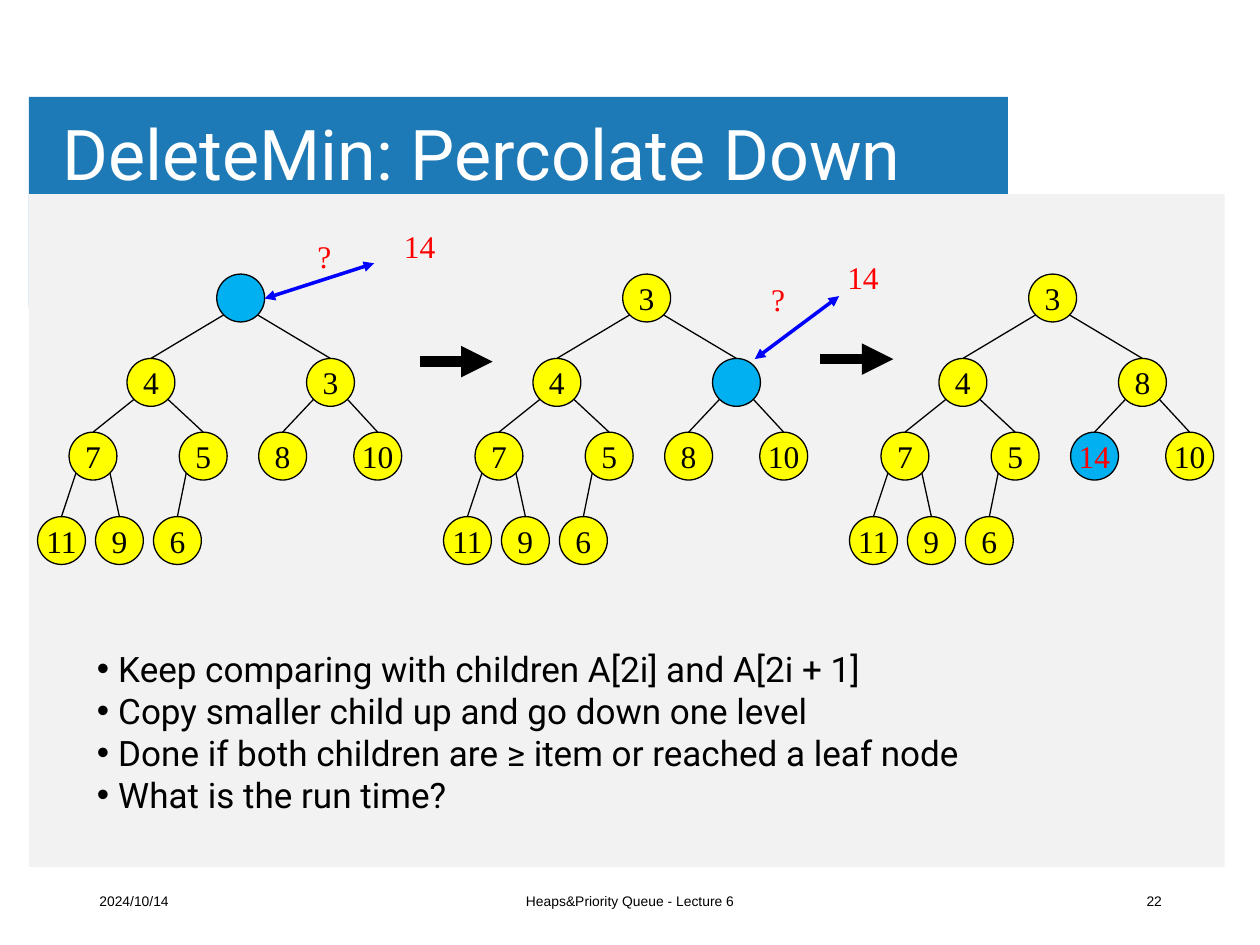
from dataclasses import dataclass

from lxml import etree
from pptx import Presentation
from pptx import util as u
from pptx.dml.color import RGBColor
from pptx.enum import shapes, text
from pptx.oxml import ns

# The slide is a grid of 100 columns by 75 rows; all lengths count its cells.
COLUMNS, ROWS = 100, 75
CELL = u.Inches(0.1)


@dataclass(frozen=True)
class Theme:
    banner: str = "1E7AB6"
    panel: str = "F2F2F2"
    node: str = "FFFF00"
    hole: str = "00B0F0"
    ink: str = "000000"
    title_ink: str = "FFFFFF"
    moving_ink: str = "FF0000"
    compare_line: str = "0000FF"
    body_font: str = "Roboto"
    node_font: str = "Times New Roman"
    footer_font: str = "Arial"
    title_size: float = 40
    body_size: float = 20
    node_size: float = 18
    footer_size: float = 7.9
    thin: float = 0.75
    medium: float = 2
    thick: float = 6


THEME = Theme()
DIAMETER = 3.8
RADIUS = DIAMETER / 2
RIM = RADIUS * 0.71  # offset of the diagonal points on a node's rim
TREE_LEFT, TREE_PITCH = 4.88, 32.22
LEVELS = (23.65, 30.35, 36.2, 42.9)

# Heap order: node centres as columns from the centre of the leftmost leaf.
NODE_COLUMNS = (14.22, 7.1, 21.35, 2.5, 11.25, 17.55, 25.1, 0, 4.6, 9.2)
TREES = (
    ("", "4", "3", "7", "5", "8", "10", "11", "9", "6"),
    ("3", "4", "", "7", "5", "8", "10", "11", "9", "6"),
    ("3", "4", "8", "7", "5", "14", "10", "11", "9", "6"),
)
STEP_ARROWS = ((33.3, 28.7), (65.1, 28.5))
STEP_LENGTH = 5.8
COMPARISONS = (((29.7, 20.9), (21, 23.7)), ((66.6, 23.5), (59.9, 28.5)))
FLOATING_LABELS = (
    ("14", 33.3, 19.5), ("14", 68.5, 22),
    ("?", 25.75, 20.3), ("?", 61.75, 23.7),
)
BULLETS = (
    "Keep comparing with children A[2i] and A[2i + 1]",
    "Copy smaller child up and go down one level",
    "Done if both children are ≥ item or reached a leaf node",
    "What is the run time?",
)
FOOTERS = (
    ("2024/10/14", 6.9, 22.5, text.PP_ALIGN.LEFT),
    ("Heaps&Priority Queue - Lecture 6", 33.1, 33.8, text.PP_ALIGN.CENTER),
    ("22", 70.7, 22.5, text.PP_ALIGN.RIGHT),
)


def cells(*counts):
    return [u.Emu(round(count * CELL)) for count in counts]


def add_run(paragraph, words, font, size, colour):
    run = paragraph.add_run()
    run.text = words
    run.font.name = font
    run.font.size = u.Pt(size)
    run.font.color.rgb = RGBColor.from_string(colour)


def add_block(slide, box, colour):
    shape = slide.shapes.add_shape(shapes.MSO_SHAPE.RECTANGLE, *cells(*box))
    shape.shadow.inherit = False
    shape.fill.solid()
    shape.fill.fore_color.rgb = RGBColor.from_string(colour)
    shape.line.fill.background()


def add_text_box(slide, box, anchor=text.MSO_ANCHOR.MIDDLE):
    frame = slide.shapes.add_textbox(*cells(*box)).text_frame
    frame.word_wrap = True
    frame.vertical_anchor = anchor
    return frame


def add_title(slide, words):
    frame = add_text_box(slide, (4.3, 7.6, 80.3, 9.8))
    frame.margin_left = frame.margin_right = u.Inches(0.07)
    frame.margin_top = frame.margin_bottom = u.Inches(0.04)
    paragraph = frame.paragraphs[0]
    paragraph.line_spacing = 0.9
    add_run(paragraph, words, THEME.body_font, THEME.title_size, THEME.title_ink)


def add_bullets(slide, lines):
    frame = add_text_box(slide, (6.7, 50.9, 87.3, 14.5), text.MSO_ANCHOR.TOP)
    for index, line in enumerate(lines):
        paragraph = frame.add_paragraph() if index else frame.paragraphs[0]
        properties = paragraph._p.get_or_add_pPr()
        hang = u.Inches(0.17)
        properties.set("marL", str(hang))
        properties.set("indent", str(-hang))
        etree.SubElement(properties, ns.qn("a:buFont"), typeface=THEME.footer_font)
        etree.SubElement(properties, ns.qn("a:buChar"), char="•")
        add_run(paragraph, line, THEME.body_font, THEME.body_size, THEME.ink)


def add_footer(slide, words, left, width, alignment):
    paragraph = add_text_box(slide, (left, 69.5, width, 4)).paragraphs[0]
    paragraph.alignment = alignment
    add_run(paragraph, words, THEME.footer_font, THEME.footer_size, THEME.ink)


def add_node(slide, label, x, y, fill=None, ink=THEME.ink):
    """Add a circle centred on (x, y); without a fill only its label shows."""
    box = cells(x - RADIUS, y - RADIUS, DIAMETER, DIAMETER)
    node = slide.shapes.add_shape(shapes.MSO_SHAPE.OVAL, *box)
    node.shadow.inherit = False
    if fill:
        node.fill.solid()
        node.fill.fore_color.rgb = RGBColor.from_string(fill)
        node.line.color.rgb = RGBColor.from_string(THEME.ink)
        node.line.width = u.Pt(THEME.thin)
    else:
        node.fill.background()
        node.line.fill.background()
    if label:
        frame = node.text_frame
        frame.word_wrap = False
        frame.vertical_anchor = text.MSO_ANCHOR.MIDDLE
        paragraph = frame.paragraphs[0]
        paragraph.alignment = text.PP_ALIGN.CENTER
        add_run(paragraph, label, THEME.node_font, THEME.node_size, ink)
    return node


def add_line(slide, start, end, colour, width, arrow_ends=()):
    """Add a straight line; arrow_ends names its ends with heads."""
    line = slide.shapes.add_connector(
        shapes.MSO_CONNECTOR.STRAIGHT, *cells(*start, *end))
    line.line.color.rgb = RGBColor.from_string(colour)
    line.line.width = u.Pt(width)
    for arrow_end in arrow_ends:
        etree.SubElement(line.line._get_or_add_ln(), ns.qn(f"a:{arrow_end}"), type="triangle")
    etree.SubElement(line._element.spPr, ns.qn("a:effectLst"))
    return line


def add_tree(slide, left, labels):
    """Add a heap whose node i hangs below node (i - 1) // 2."""
    centres = [(left + column, LEVELS[(index + 1).bit_length() - 1])
               for index, column in enumerate(NODE_COLUMNS)]
    for index, (label, (x, y)) in enumerate(zip(labels, centres)):
        moving = label in ("", "14")
        fill = THEME.hole if moving else THEME.node
        ink = THEME.moving_ink if moving else THEME.ink
        node = add_node(slide, label, x, y, fill, ink)
        if index:
            parent_x, parent_y = centres[(index - 1) // 2]
            side = -RIM if index % 2 else RIM
            edge = add_line(slide, (parent_x + side, parent_y + RIM),
                            (x, y - RADIUS), THEME.ink, THEME.thin)
            edge.end_connect(node, 0)


def main():
    presentation = Presentation()
    presentation.slide_width, presentation.slide_height = cells(COLUMNS, ROWS)
    slide = presentation.slides.add_slide(presentation.slide_layouts[6])
    add_block(slide, (2.3, 7.7, 77.7, 16.7), THEME.banner)
    add_block(slide, (2.3, 15.4, 94.9, 53.4), THEME.panel)
    add_title(slide, "DeleteMin: Percolate Down")
    for footer in FOOTERS:
        add_footer(slide, *footer)
    add_bullets(slide, BULLETS)
    for x, y in STEP_ARROWS:
        add_line(slide, (x, y), (x + STEP_LENGTH, y), THEME.ink, THEME.thick, ["tailEnd"])
    for index, labels in enumerate(TREES):
        add_tree(slide, TREE_LEFT + index * TREE_PITCH, labels)
    for start, end in COMPARISONS:
        add_line(slide, start, end, THEME.compare_line, THEME.medium, ["headEnd", "tailEnd"])
    for label, x, y in FLOATING_LABELS:
        add_node(slide, label, x, y, ink=THEME.moving_ink)
    presentation.save("out.pptx")


if __name__ == "__main__":
    main()
